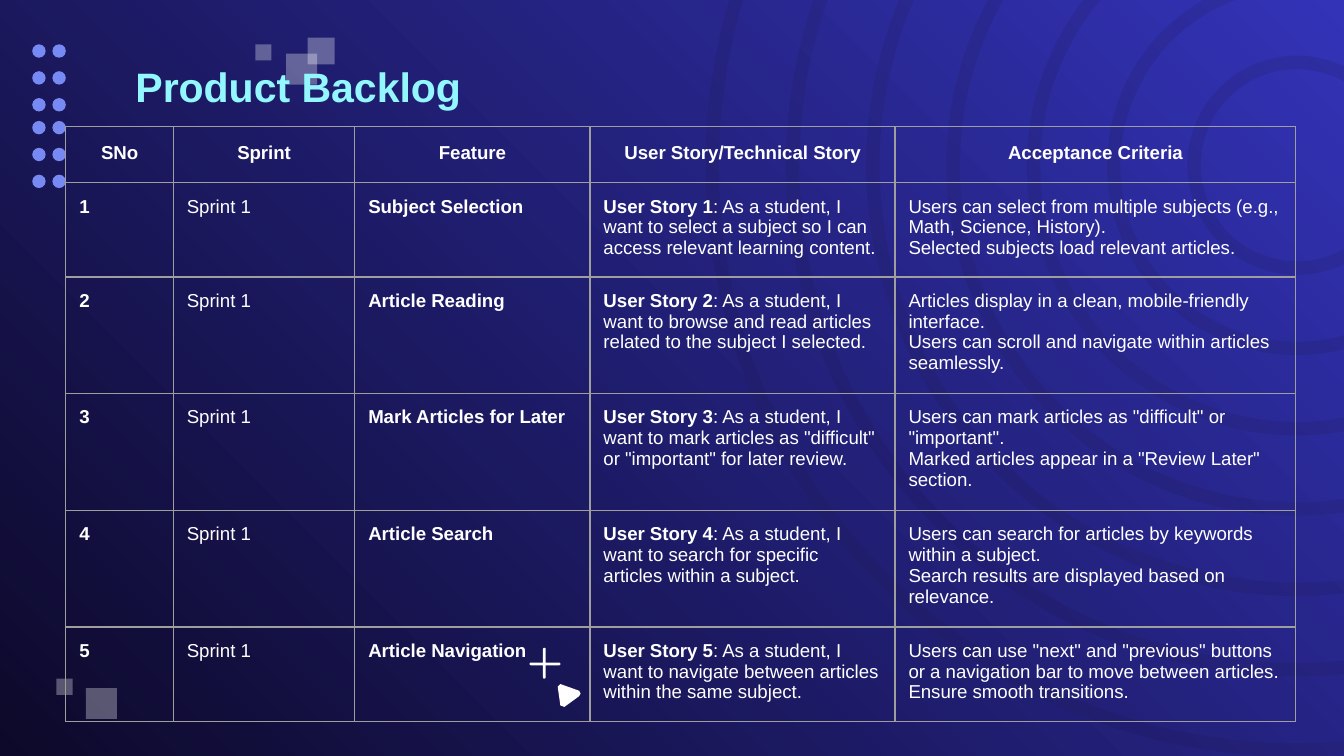
from typing import NamedTuple

from lxml import etree
from pptx import Presentation
from pptx.dml.color import RGBColor
from pptx.enum.shapes import MSO_SHAPE
from pptx.enum.text import MSO_ANCHOR, PP_ALIGN
from pptx.oxml.ns import qn
from pptx.util import Inches, Pt

OVAL = MSO_SHAPE.OVAL
DONUT = MSO_SHAPE.DONUT
SQUARE = MSO_SHAPE.RECTANGLE
BAR = MSO_SHAPE.ROUNDED_RECTANGLE
MIDDLE = MSO_ANCHOR.MIDDLE
CENTER = PP_ALIGN.CENTER
LEFT = PP_ALIGN.LEFT

NIGHT = RGBColor(0x0D, 0x09, 0x2A)
INDIGO = RGBColor(0x33, 0x33, 0xB8)
RING = RGBColor(0x20, 0x1A, 0x4A)
DOT = RGBColor(0x77, 0x89, 0xF2)
WHITE = RGBColor(0xFF, 0xFF, 0xFF)
CYAN = RGBColor(0x92, 0xF7, 0xFF)
GRID = RGBColor(0x9E, 0x9E, 0x9E)
FONT = "Arial"

SLIDE_WIDTH = Inches(10)
SLIDE_HEIGHT = SLIDE_WIDTH * 9 // 16

RING_X, RING_Y = 9.65, 1.23
RING_COUNT = 7
RING_SMALLEST = 1.63
RING_STEP = 1.195
RING_WIDTH = 0.1


class Area(NamedTuple):
    left: float
    top: float
    width: float
    height: float


class Story(NamedTuple):
    feature: str
    wish: str
    criteria: tuple[str, str]


SQUARES = [
    Area(2.29, 0.28, 0.2, 0.2),
    Area(2.13, 0.4, 0.23, 0.23),
    Area(1.9, 0.33, 0.12, 0.12),
    Area(0.64, 5.12, 0.23, 0.23),
    Area(0.42, 5.05, 0.12, 0.12),
]
PLUS_BARS = [Area(4.04, 4.82, 0.02, 0.23), Area(3.94, 4.93, 0.23, 0.02)]
POINTER = [(4.17, 5.09), (4.31, 5.14), (4.32, 5.16), (4.31, 5.18),
           (4.2, 5.26), (4.17, 5.25), (4.15, 5.11)]

COLUMN_WIDTHS = [0.8, 1.35, 1.75, 2.27, 2.98]
ROW_HEIGHT = 0.42
FRAME_SIZE = 3.28
HEADINGS = ["SNo", "Sprint", "Feature", "User Story/Technical Story", "Acceptance Criteria"]
STORIES = [
    Story("Subject Selection",
          "select a subject so I can access relevant learning content.",
          ("Users can select from multiple subjects (e.g., Math, Science, History).",
           "Selected subjects load relevant articles.")),
    Story("Article Reading",
          "browse and read articles related to the subject I selected.",
          ("Articles display in a clean, mobile-friendly interface.",
           "Users can scroll and navigate within articles seamlessly.")),
    Story("Mark Articles for Later",
          'mark articles as "difficult" or "important" for later review.',
          ('Users can mark articles as "difficult" or "important".',
           'Marked articles appear in a "Review Later" section.')),
    Story("Article Search",
          "search for specific articles within a subject.",
          ("Users can search for articles by keywords within a subject.",
           "Search results are displayed based on relevance.")),
    Story("Article Navigation",
          "navigate between articles within the same subject.",
          ('Users can use "next" and "previous" buttons or a navigation bar'
           " to move between articles.",
           "Ensure smooth transitions.")),
]


def paint(shape, color: RGBColor, opacity: int = 100) -> None:
    shape.shadow.inherit = False
    shape.line.fill.background()
    shape.fill.solid()
    shape.fill.fore_color.rgb = color
    if opacity < 100:
        tint = shape.fill._xPr.find(f".//{qn('a:srgbClr')}")
        etree.SubElement(tint, qn("a:alpha"), val=str(opacity * 1000))


def add_preset(page, kind, area: Area, color: RGBColor, opacity: int = 100):
    shape = page.shapes.add_shape(kind, *(Inches(length) for length in area))
    paint(shape, color, opacity)
    return shape


def add_background(page) -> None:
    fill = page.background.fill
    fill.gradient()
    fill.gradient_angle = 45
    for stop, color in zip(fill.gradient_stops, (NIGHT, INDIGO)):
        stop.color.rgb = color


def add_decoration(page) -> None:
    for index in reversed(range(RING_COUNT)):
        size = RING_SMALLEST + index * RING_STEP
        area = Area(RING_X - size / 2, RING_Y - size / 2, size, size)
        ring = add_preset(page, DONUT, area, RING, 17)
        ring.adjustments[0] = RING_WIDTH / size
    for group_top in (0.33, 0.9):
        for row in range(3):
            for left in (0.24, 0.39):
                add_preset(page, OVAL, Area(left, group_top + row * 0.2, 0.1, 0.1), DOT)
    for area in SQUARES:
        add_preset(page, SQUARE, area, WHITE, 31)
    for area in PLUS_BARS:
        add_preset(page, BAR, area, WHITE).adjustments[0] = 0.5
    corners = [(Inches(x), Inches(y)) for x, y in POINTER]
    builder = page.shapes.build_freeform(*corners[0])
    builder.add_line_segments(corners[1:])
    paint(builder.convert_to_shape(), WHITE)


def style_font(font, size: int, color: RGBColor, bold: bool) -> None:
    font.name = FONT
    font.size = Pt(size)
    font.color.rgb = color
    font.bold = bold


def set_insets(box) -> None:
    box.margin_left = box.margin_right = Inches(0.1)
    box.margin_top = box.margin_bottom = Inches(0.1)


def add_title(page, text: str) -> None:
    box = page.shapes.add_textbox(Inches(0.91), Inches(0.41), Inches(4.56), Inches(0.46))
    frame = box.text_frame
    frame.word_wrap = True
    frame.vertical_anchor = MIDDLE
    set_insets(frame)
    frame.text = text
    style_font(frame.paragraphs[0].font, 22, CYAN, True)


def add_borders(cell) -> None:
    properties = cell._tc.get_or_add_tcPr()
    for index, side in enumerate(("a:lnL", "a:lnR", "a:lnT", "a:lnB")):
        line = etree.Element(qn(side), w=str(Pt(0.75)))
        fill = etree.SubElement(line, qn("a:solidFill"))
        etree.SubElement(fill, qn("a:srgbClr"), val=str(GRID))
        properties.insert(index, line)


def add_span(para, text: str, bold: bool) -> None:
    span = para.add_run()
    span.text = text
    style_font(span.font, 10, WHITE, bold)


def fill_cell(cell, lines: list[str], bold: bool = False, heading: bool = False) -> None:
    cell.fill.background()
    add_borders(cell)
    set_insets(cell)
    frame = cell.text_frame
    for index, line in enumerate(lines):
        para = frame.add_paragraph() if index else frame.paragraphs[0]
        para.alignment = CENTER if heading else LEFT
        if heading:
            para.line_spacing = 1.15
        add_span(para, line, bold)


def add_backlog(page) -> None:
    row_count = len(STORIES) + 1
    frame = page.shapes.add_table(
        row_count, len(HEADINGS), Inches(0.49), Inches(0.94),
        Inches(sum(COLUMN_WIDTHS)), Inches(ROW_HEIGHT * row_count))
    table = frame.table
    table.first_row = table.horz_banding = False
    for column, width in zip(table.columns, COLUMN_WIDTHS):
        column.width = Inches(width)
    frame.width = frame.height = Inches(FRAME_SIZE)
    for column, heading in enumerate(HEADINGS):
        fill_cell(table.cell(0, column), [heading], bold=True, heading=True)
    for number, story in enumerate(STORIES, 1):
        texts = [[str(number)], ["Sprint 1"], [story.feature],
                 [f"User Story {number}"], list(story.criteria)]
        for column, lines in enumerate(texts):
            fill_cell(table.cell(number, column), lines, bold=column in (0, 2, 3))
        para = table.cell(number, 3).text_frame.paragraphs[0]
        add_span(para, f": As a student, I want to {story.wish}", False)


def main() -> None:
    deck = Presentation()
    deck.slide_width, deck.slide_height = SLIDE_WIDTH, SLIDE_HEIGHT
    page = deck.slides.add_slide(deck.slide_layouts[6])
    add_background(page)
    add_decoration(page)
    add_title(page, "Product Backlog")
    add_backlog(page)
    deck.save("out.pptx")


if __name__ == "__main__":
    main()
